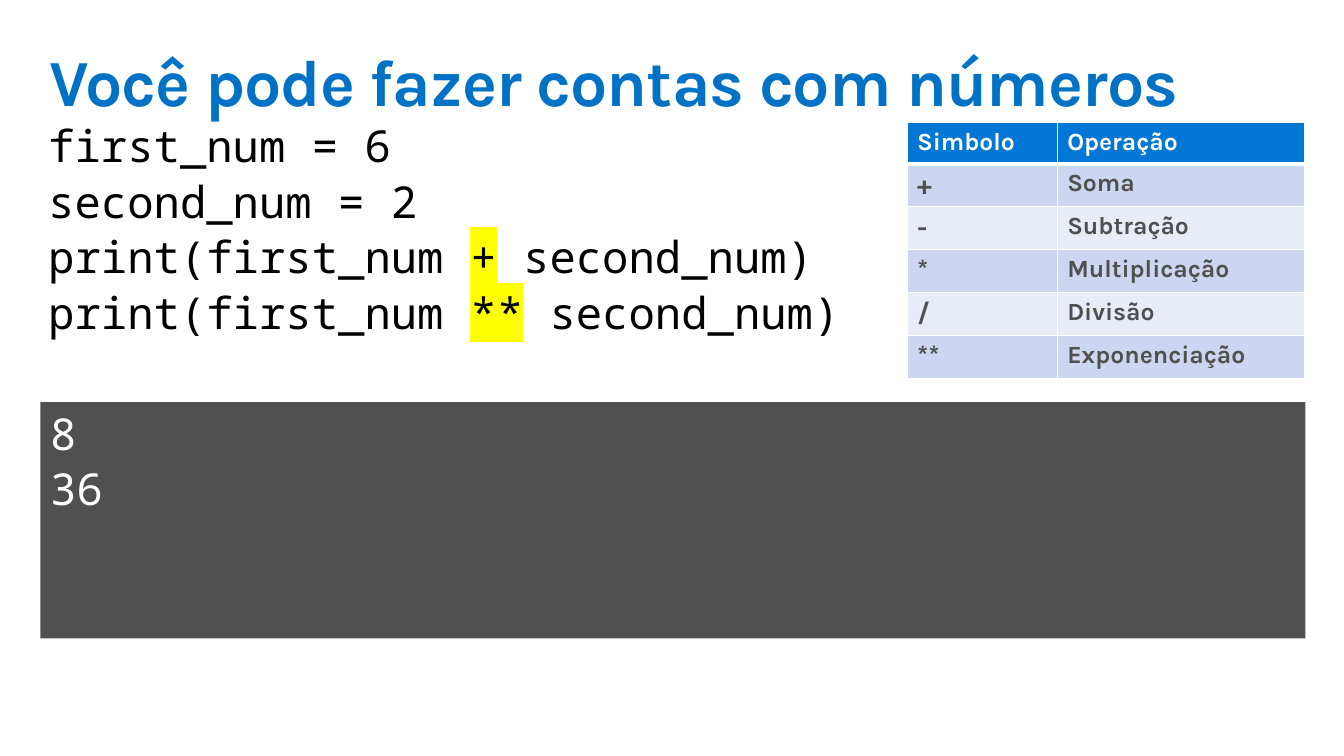
from dataclasses import dataclass

from lxml.etree import SubElement
from pptx import Presentation
from pptx.dml.color import RGBColor
from pptx.enum.shapes import MSO_SHAPE
from pptx.enum.text import MSO_ANCHOR, PP_ALIGN
from pptx.oxml.ns import qn
from pptx.util import Inches, Pt

TITLE = "Você pode fazer contas com números"
# Each line is a list of (text, marked) runs.
CODE = [
    [("first_num = 6", False)],
    [("second_num = 2", False)],
    [("print(first_num ", False), ("+", True), (" second_num)", False)],
    [("print(first_num ", False), ("**", True), (" second_num)", False)],
]
OUTPUT = [[("8", False)], [("36", False)]]
TABLE = [
    ("Simbolo", "Operação"),
    ("+", "Soma"),
    ("-", "Subtração"),
    ("*", "Multiplicação"),
    ("/", "Divisão"),
    ("**", "Exponenciação"),
]
WIDTHS = (1.52, 2.5)
HEAD_H, ROW_H = 0.42, 0.43


@dataclass(frozen=True)
class Theme:
    sans: str = "Karla"
    mono: str = "Noto Sans Mono"
    blue: str = "0072C6"
    head: str = "0377D6"
    bands: tuple = ("CCD6F0", "E7ECF7")
    gray: str = "505050"
    white: str = "FFFFFF"
    black: str = "000000"
    mark: str = "FFFF00"
    title: int = 48
    code: int = 32
    sign: int = 20
    cell: int = 18


LOOK = Theme()


def add_run(para, text, font, size, color, bold=False):
    run = para.add_run()
    run.text = text
    run.font.name = font
    run.font.size = Pt(size)
    run.font.bold = bold
    run.font.color.rgb = RGBColor.from_string(color)
    return run


def highlight(run):
    props = run.font._element
    mark = SubElement(props, qn("a:highlight"))
    SubElement(mark, qn("a:srgbClr"), val=LOOK.mark)
    props.find(qn("a:solidFill")).addnext(mark)


def set_frame(frame):
    frame.word_wrap = True
    frame.vertical_anchor = MSO_ANCHOR.TOP
    frame.margin_left = frame.margin_right = Inches(0.1)
    frame.margin_top = frame.margin_bottom = Inches(0.1)


def add_code(frame, lines, color):
    set_frame(frame)
    for i, line in enumerate(lines):
        para = frame.add_paragraph() if i else frame.paragraphs[0]
        para.alignment = PP_ALIGN.LEFT
        para.line_spacing = 0.9
        para.space_before = Pt(6)
        for text, marked in line:
            run = add_run(para, text, LOOK.mono, LOOK.code, color)
            if marked:
                highlight(run)


def add_borders(cell, row):
    """White rules, thicker between the header and the first row."""
    widths = {"L": 1, "R": 1, "T": 3 if row == 1 else 1, "B": 3 if row == 0 else 1}
    props = cell._tc.get_or_add_tcPr()
    for side, width in widths.items():
        line = SubElement(props, qn(f"a:ln{side}"), w=str(Pt(width)))
        fill = SubElement(line, qn("a:solidFill"))
        SubElement(fill, qn("a:srgbClr"), val=LOOK.white)


def add_grid(slide):
    height = HEAD_H + ROW_H * (len(TABLE) - 1)
    grid = slide.shapes.add_table(
        len(TABLE), len(WIDTHS), Inches(9.18), Inches(1.24),
        Inches(sum(WIDTHS)), Inches(height)).table
    grid.horz_banding = False
    for col, width in zip(grid.columns, WIDTHS):
        col.width = Inches(width)
    for r, words in enumerate(TABLE):
        grid.rows[r].height = Inches(ROW_H if r else HEAD_H)
        fill = LOOK.bands[(r - 1) % 2] if r else LOOK.head
        color = LOOK.gray if r else LOOK.white
        for c, text in enumerate(words):
            cell = grid.cell(r, c)
            add_borders(cell, r)
            cell.fill.solid()
            cell.fill.fore_color.rgb = RGBColor.from_string(fill)
            size = LOOK.sign if r and c == 0 else LOOK.cell
            add_run(cell.text_frame.paragraphs[0], text, LOOK.sans, size, color, True)


def main():
    deck = Presentation()
    deck.slide_width, deck.slide_height = Inches(13.6), Inches(7.65)
    slide = deck.slides.add_slide(deck.slide_layouts[6])
    shapes = slide.shapes

    title = shapes.add_textbox(Inches(0.4), Inches(0.4), Inches(12.8), Inches(1))
    set_frame(title.text_frame)
    para = title.text_frame.paragraphs[0]
    para.line_spacing = 0.9
    run = add_run(para, TITLE, LOOK.sans, LOOK.title, LOOK.blue, True)
    run.font._element.set("spc", "-70")

    code = shapes.add_textbox(Inches(0.39), Inches(1.16), Inches(12.8), Inches(4.67))
    add_code(code.text_frame, CODE, LOOK.black)

    console = shapes.add_shape(
        MSO_SHAPE.RECTANGLE, Inches(0.41), Inches(4.07), Inches(12.8), Inches(2.39))
    console.shadow.inherit = False
    console.fill.solid()
    console.fill.fore_color.rgb = RGBColor.from_string(LOOK.gray)
    console.line.fill.background()
    add_code(console.text_frame, OUTPUT, LOOK.white)

    add_grid(slide)
    deck.save("out.pptx")


if __name__ == "__main__":
    main()
